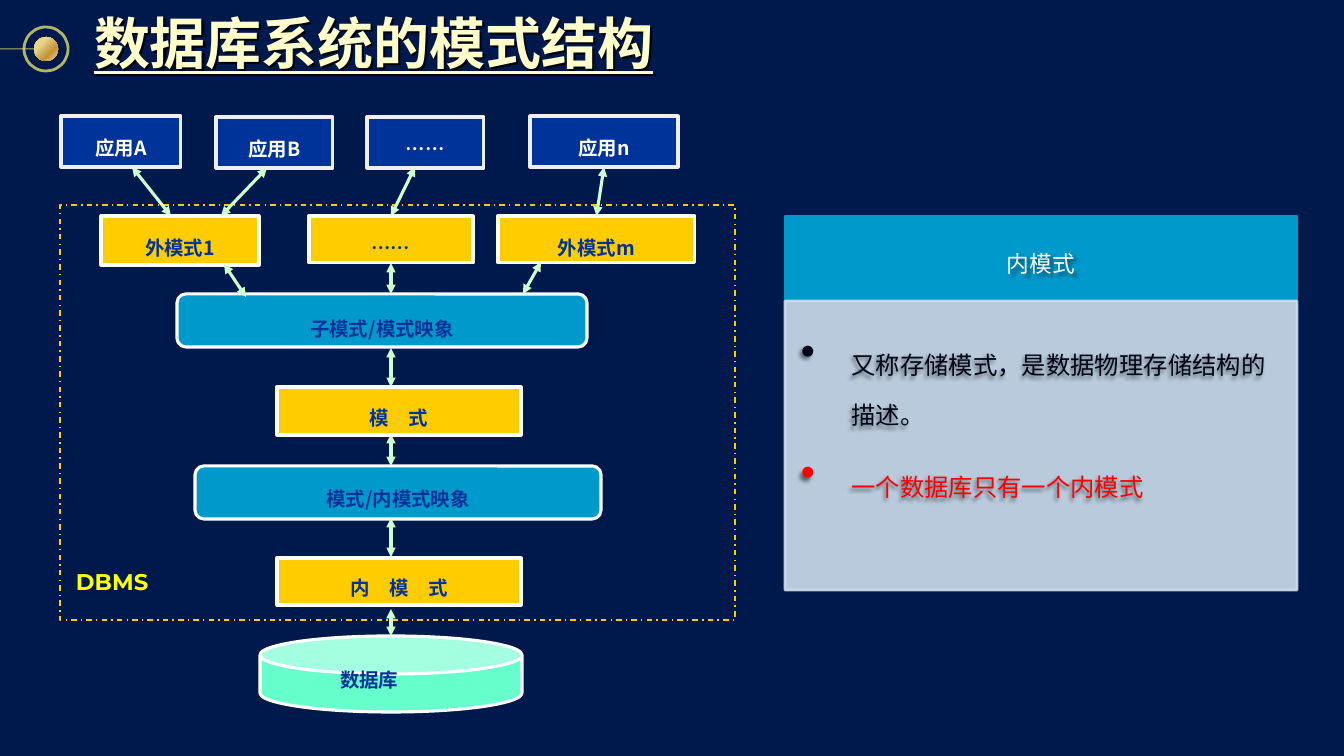
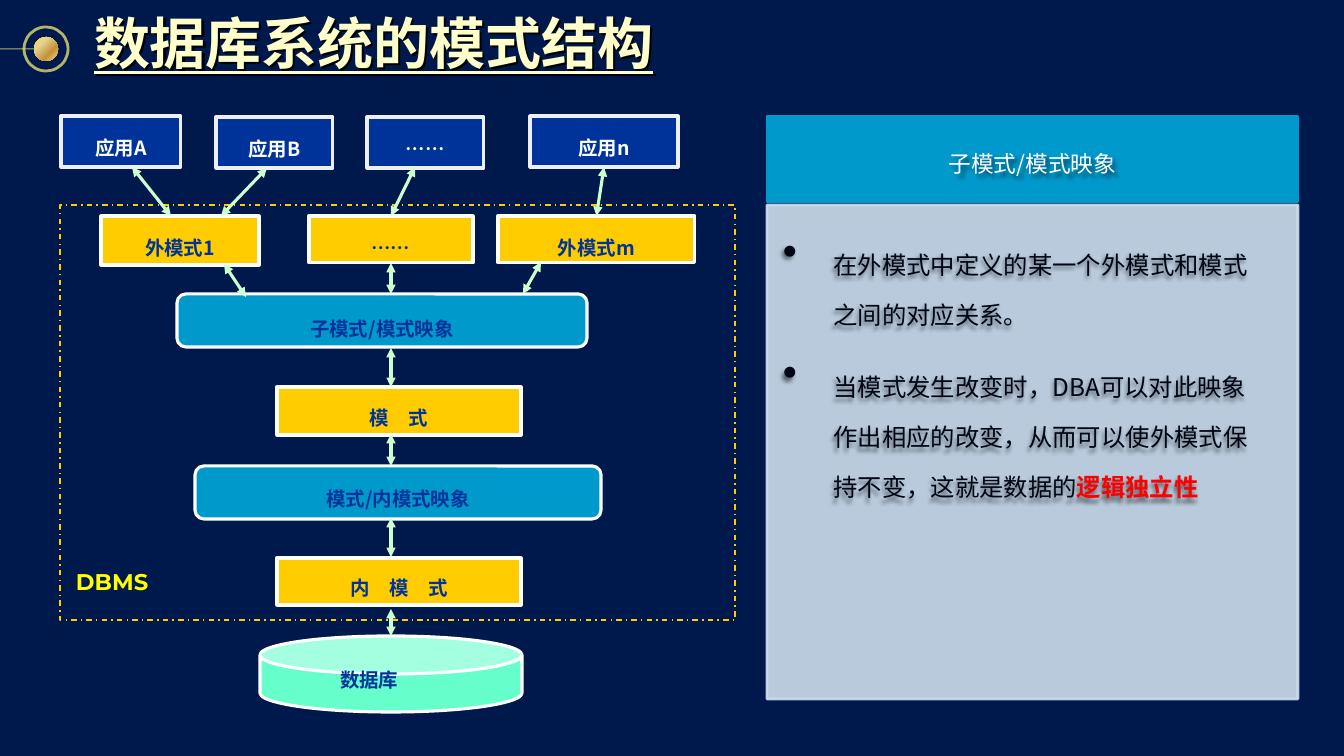
from lxml.etree import SubElement
from pptx import Presentation
from pptx.dml.color import RGBColor
from pptx.enum.dml import MSO_LINE
from pptx.enum.shapes import MSO_CONNECTOR, MSO_SHAPE
from pptx.enum.text import MSO_ANCHOR, MSO_AUTO_SIZE, PP_ALIGN
from pptx.oxml import parse_xml
from pptx.oxml.ns import nsdecls, qn
from pptx.util import Pt

# Scale: the slide is 1344 x 756 px
SLIDE_W, SLIDE_H = 12192000, 6858000
EMU_PER_PX = SLIDE_W / 1344

# Colours
NAVY = RGBColor(0x00, 0x19, 0x4C)
BLUE = RGBColor(0x00, 0x33, 0x99)
TEAL = RGBColor(0x00, 0x99, 0xCC)
PALE_BLUE = RGBColor(0xCC, 0xDE, 0xEC)
GOLD = RGBColor(0xFF, 0xCC, 0x00)
MINT = RGBColor(0x66, 0xFF, 0xCC)
ARROW_GREEN = RGBColor(0xCC, 0xFF, 0xCC)
CREAM = RGBColor(0xFF, 0xFF, 0xCC)
RING_YELLOW = RGBColor(0xFC, 0xF8, 0x73)
YELLOW = RGBColor(0xFF, 0xFF, 0x00)
OFF_WHITE = RGBColor(0xEE, 0xEF, 0xF4)
WHITE = RGBColor(0xFF, 0xFF, 0xFF)
INK = RGBColor(0x00, 0x05, 0x14)
RED = RGBColor(0xFF, 0x00, 0x00)

# Fonts
CJK = "Noto Sans CJK SC"
LATIN = "Montserrat"

# Format values
LABEL = {"size": Pt(24), "bold": True}
HEADING = {"size": Pt(28)}
BODY = {"size": Pt(30)}
TITLE = {"size": Pt(40), "bold": True, "underline": True}
LOWERED = "-3000"
APP = {"fill": BLUE, "line": OFF_WHITE, "color": WHITE}
SCHEMA = {"fill": GOLD, "line": WHITE, "color": BLUE}
MAPPING = {"fill": TEAL, "line": WHITE, "color": BLUE,
           "preset": MSO_SHAPE.ROUNDED_RECTANGLE}
CENTRED = {"insets": (10, 0, 10, 0), "anchor": MSO_ANCHOR.MIDDLE}
BALL_STOPS = ((0, "FCD860"), (31, "E6D38F"), (68, "C69135"), (100, "F1DF97"))


def px(*lengths):
    return [round(length * EMU_PER_PX) for length in lengths]


def set_values(target, values):
    for name, value in values.items():
        setattr(target, name, value)


def set_opacity(shape, percent):
    for colour in shape.element.spPr.iter(qn("a:srgbClr")):
        SubElement(colour, qn("a:alpha"), val=str(percent * 1000))


class Deck:
    """Holds the style and the current slide."""

    def __init__(self):
        self.prs = Presentation()
        set_values(self.prs, {"slide_width": SLIDE_W, "slide_height": SLIDE_H})
        self.master = self.prs.slide_master
        background = self.master.background.fill
        background.solid()
        background.fore_color.rgb = NAVY
        self.slide = None

    def new_slide(self, title):
        first = self.slide is None
        self.slide = self.prs.slides.add_slide(self.prs.slide_layouts[5])
        if first:
            self.ornament()
        heading = self.slide.shapes.title
        self.place(heading, 86, 0, 595, 84)
        self.frame(heading, (8, 8, 8, 8), MSO_ANCHOR.MIDDLE, wrap=False)
        self.paragraph(heading, [(title, CREAM, {})], TITLE, baseline=None)
        self.shadow(heading, blur=0, distance=3, angle=45, opacity=100)

    def ornament(self):
        """Draws the ring, line and ball, and moves them to the master."""
        ring = self.shape(MSO_SHAPE.OVAL, 24, 27, 44, 44,
                          line=RING_YELLOW, weight=2)
        rule = self.connector((0, 49), (34, 49), RING_YELLOW, 0.75)
        ball = self.shape(MSO_SHAPE.OVAL, 34, 37, 24, 24)
        for part in (ring, rule):
            set_opacity(part, 70)
        stops = "".join(
            f'<a:gs pos="{pos * 1000}"><a:srgbClr val="{colour}"/></a:gs>'
            for pos, colour in BALL_STOPS)
        gradient = parse_xml(
            f'<a:gradFill {nsdecls("a")}><a:gsLst>{stops}</a:gsLst>'
            '<a:lin ang="2700000" scaled="0"/></a:gradFill>')
        properties = ball.element.spPr
        properties.replace(properties.find(qn("a:noFill")), gradient)
        for part in (ring, rule, ball):
            self.master.shapes.element.append(part.element)

    def place(self, shape, *box):
        set_values(shape, dict(zip(("left", "top", "width", "height"), px(*box))))

    def shape(self, preset, *box, fill=None, line=None, weight=2.25):
        shape = self.slide.shapes.add_shape(preset, *px(*box))
        shape.shadow.inherit = False
        for part, colour in ((shape.fill, fill), (shape.line.fill, line)):
            if colour is None:
                part.background()
            else:
                part.solid()
                part.fore_color.rgb = colour
        if line is not None:
            shape.line.width = Pt(weight)
        return shape

    def frame(self, shape, insets, anchor=MSO_ANCHOR.TOP, wrap=True):
        left, top, right, bottom = px(*insets)
        set_values(shape.text_frame, {
            "margin_left": left, "margin_top": top,
            "margin_right": right, "margin_bottom": bottom,
            "vertical_anchor": anchor, "word_wrap": wrap,
            "auto_size": MSO_AUTO_SIZE.NONE if wrap
            else MSO_AUTO_SIZE.SHAPE_TO_FIT_TEXT})

    def paragraph(self, shape, runs, values, align=PP_ALIGN.LEFT, font=CJK,
                  baseline=LOWERED, first=True):
        frame = shape.text_frame
        paragraph = frame.paragraphs[0] if first else frame.add_paragraph()
        paragraph.alignment = align
        for text, colour, extra in runs:
            run = paragraph.add_run()
            run.text = text
            run.font.color.rgb = colour
            set_values(run.font, {"name": font, **values, **extra})
            properties = run.font.color and run._r.get_or_add_rPr()
            SubElement(properties, qn("a:ea"), typeface=font)
            if baseline:
                properties.set("baseline", baseline)
        return paragraph

    def shadow(self, shape, blur=4, distance=4, angle=135, opacity=50):
        shape.shadow.inherit = False
        effects = shape.element.spPr.find(qn("a:effectLst"))
        blur, distance = px(blur, distance)
        effects.append(parse_xml(
            f'<a:outerShdw {nsdecls("a")} blurRad="{blur}" dist="{distance}" '
            f'dir="{angle * 60000}" algn="ctr" rotWithShape="0">'
            f'<a:srgbClr val="000000"><a:alpha val="{opacity * 1000}"/>'
            '</a:srgbClr></a:outerShdw>'))

    def node(self, text, *box, fill, line, color, preset=MSO_SHAPE.RECTANGLE,
             insets=(10, 5, 10, 5), anchor=MSO_ANCHOR.TOP):
        node = self.shape(preset, *box, fill=fill, line=line)
        self.frame(node, insets, anchor)
        self.paragraph(node, [(text, color, {})], LABEL, PP_ALIGN.CENTER)
        return node

    def label(self, text, *box, color, values, font=CJK):
        label = self.slide.shapes.add_textbox(*px(*box))
        self.frame(label, (8, 8, 8, 8), wrap=False)
        self.paragraph(label, [(text, color, {})], values, font=font)

    def connector(self, start, end, color=ARROW_GREEN, weight=2.25):
        line = self.slide.shapes.add_connector(
            MSO_CONNECTOR.STRAIGHT, *px(*start, *end))
        line.line.color.rgb = color
        line.line.width = Pt(weight)
        SubElement(line.element.spPr, qn("a:effectLst"))
        return line

    def arrow(self, start, end, begin=None, finish=None):
        """Draws a two-headed arrow; begin and finish are (node, side)."""
        arrow = self.connector(start, end)
        outline = arrow.element.spPr.find(qn("a:ln"))
        for tip in ("a:headEnd", "a:tailEnd"):
            SubElement(outline, qn(tip), type="triangle")
        if begin:
            arrow.begin_connect(*begin)
        if finish:
            arrow.end_connect(*finish)

    def panel(self, heading, points, left, top, width, head_height,
              body_top, body_height, text_width):
        self.shape(MSO_SHAPE.RECTANGLE, left, top, width, head_height,
                   fill=TEAL, line=TEAL, weight=2)
        body = self.shape(MSO_SHAPE.RECTANGLE, left, body_top, width,
                          body_height, fill=PALE_BLUE, line=PALE_BLUE, weight=2)
        set_opacity(body, 90)

        # Bulleted points
        bullets = self.slide.shapes.add_textbox(
            *px(left, top + 99, text_width, 185))
        self.frame(bullets, (16, 16, 21, 24))
        for index, runs in enumerate(points):
            point = self.paragraph(bullets, runs, BODY, first=index == 0)
            point.space_after = Pt(15)
            properties = point._p.get_or_add_pPr()
            properties.set("marL", "457200")
            properties.set("indent", "-457200")
            SubElement(properties, qn("a:buChar"), char="•")
        self.shadow(bullets)

        # Heading
        caption = self.slide.shapes.add_textbox(
            *px(left, top, width, head_height))
        self.frame(caption, (22, 12, 22, 12), MSO_ANCHOR.MIDDLE)
        line = self.paragraph(caption, [(heading, WHITE, {})], HEADING,
                              PP_ALIGN.CENTER)
        set_values(line, {"line_spacing": 0.9, "space_after": Pt(10)})
        self.shadow(caption, angle=45)

    def architecture(self):
        # DBMS boundary
        boundary = self.shape(MSO_SHAPE.RECTANGLE, 60, 205, 675, 415,
                              line=GOLD, weight=1)
        boundary.line.dash_style = MSO_LINE.DASH_DOT

        # Applications
        self.node("应用A", 61, 116, 120, 51, **APP)
        self.node("应用B", 216, 117, 117, 51, **APP)
        self.node("……", 367, 117, 117, 51, **APP)
        app_n = self.node("应用n", 530, 116, 148, 51, **APP)

        # External schemas
        self.node("外模式1", 101, 216, 158, 49, **SCHEMA)
        external_more = self.node("……", 309, 216, 164, 47, **SCHEMA)
        external_m = self.node("外模式m", 498, 216, 197, 47, **SCHEMA)

        # Mappings, schema and internal schema
        process = {**SCHEMA, **CENTRED, "preset": MSO_SHAPE.FLOWCHART_PROCESS}
        self.node("子模式/模式映象", 177, 294, 410, 53, **MAPPING)
        self.node("模　式", 277, 387, 244, 48, **process)
        self.node("模式/内模式映象", 195, 466, 406, 53, **MAPPING, **CENTRED)
        self.node("内　模　式", 277, 558, 244, 47, **process)

        # Database
        database = self.shape(MSO_SHAPE.CAN, 260, 636, 262, 76,
                              fill=MINT, line=WHITE)
        database.adjustments[0] = 0.5

        # Slanted arrows
        self.arrow((132, 167), (171, 216))
        self.arrow((267, 168), (221, 216))
        self.arrow((415, 167), (391, 216), finish=(external_more, 0))
        self.arrow((604, 167), (596, 216), (app_n, 2), (external_m, 0))
        self.arrow((224, 264), (246, 297))
        self.arrow((523, 294), (541, 262))

        # Arrows down the main axis
        self.arrow((391, 263), (391, 294), begin=(external_more, 2))
        for top, bottom in ((348, 387), (434, 466), (518, 557), (609, 636)):
            self.arrow((391, top), (391, bottom))

        # Labels
        self.label("数据库", 332, 645, 118, 56, color=BLUE, values=LABEL)
        self.label("DBMS", 68, 542, 143, 64, color=YELLOW,
                   values={**LABEL, **HEADING}, font=LATIN)


SLIDES = (
    {"heading": "内模式",
     "points": ([("又称存储模式，是数据物理存储结构的描述。", INK, {})],
                [("一个数据库只有一个内模式", RED, {})]),
     "left": 785, "top": 216, "width": 512, "head_height": 85,
     "body_top": 301, "body_height": 289, "text_width": 512},
    {"heading": "子模式/模式映象",
     "points": ([("在外模式中定义的某一个外模式和模式之间的对应关系。", INK, {})],
                [("当模式发生改变时，DBA可以对此映象作出相应的改变，"
                  "从而可以使外模式保持不变，这就是数据的", INK, {}),
                 ("逻辑独立性", RED, {"bold": True})]),
     "left": 767, "top": 116, "width": 531, "head_height": 86,
     "body_top": 205, "body_height": 494, "text_width": 511},
)


def main():
    deck = Deck()
    for content in SLIDES:
        deck.new_slide("数据库系统的模式结构")
        deck.panel(**content)
        deck.architecture()
    deck.prs.save("out.pptx")


if __name__ == "__main__":
    main()
